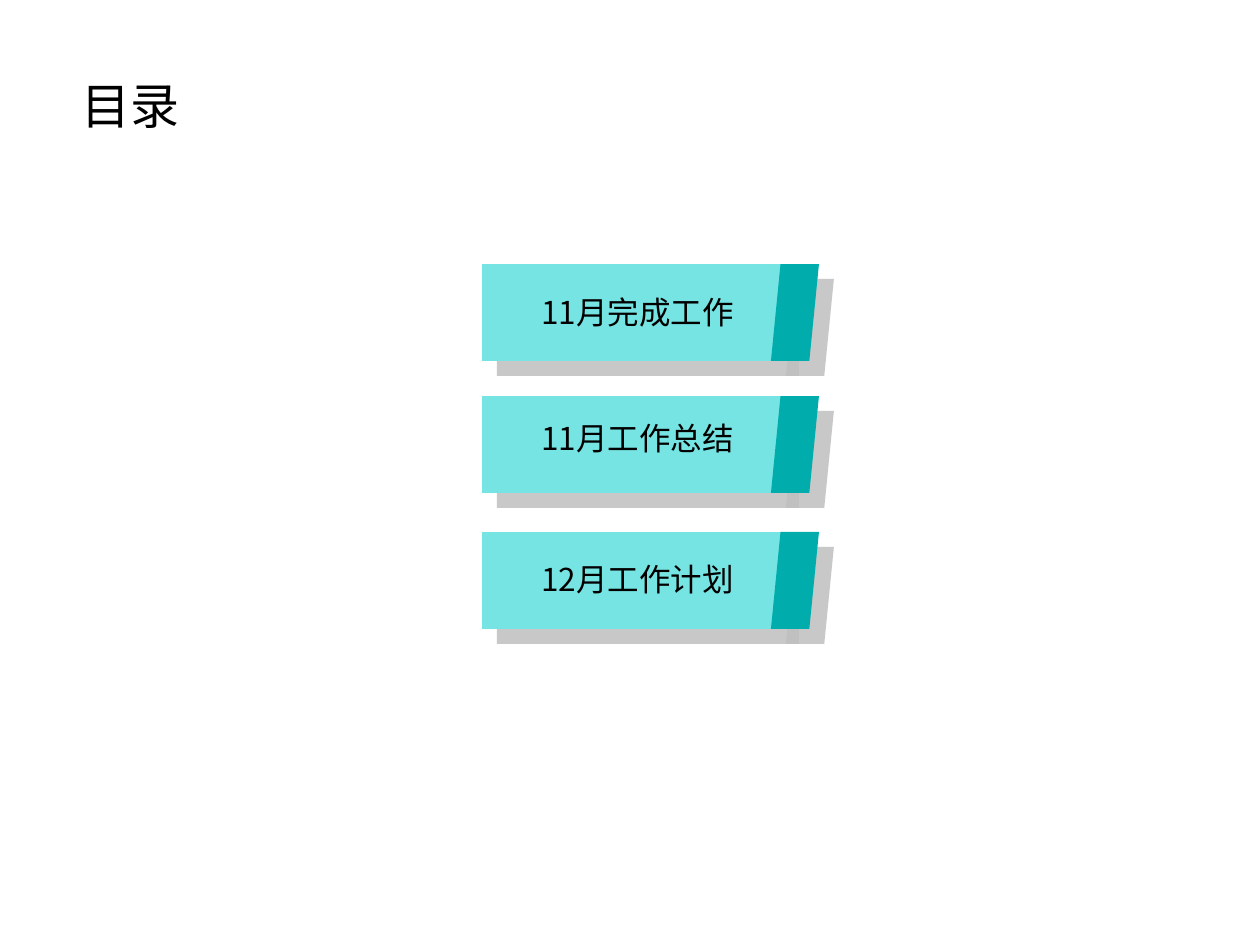
from lxml import etree
from pptx import Presentation
from pptx.dml.color import RGBColor
from pptx.enum.shapes import MSO_SHAPE
from pptx.enum.text import MSO_AUTO_SIZE
from pptx.oxml.ns import qn
from pptx.util import Pt

PANEL = MSO_SHAPE.FLOWCHART_PROCESS
FLAP = MSO_SHAPE.FLOWCHART_DATA
FIT = MSO_AUTO_SIZE.SHAPE_TO_FIT_TEXT
AQUA = RGBColor(0x76, 0xE4, 0xE3)
TEAL = RGBColor(0x00, 0xAD, 0xAC)
GREY = RGBColor(0xBF, 0xBF, 0xBF)
BLACK = RGBColor(0, 0, 0)
FONT = "Noto Sans CJK SC"
ITEMS = [
    ("11月完成工作", 264, 287),
    ("11月工作总结", 396, 413),
    ("12月工作计划", 532, 554),
]


def px(count):
    """Turn px into EMU at 126 px to the inch."""
    return round(count * 914400 / 126)


def add_shade(shape):
    """Cast a hard grey shadow down and to the right."""
    effects = etree.SubElement(shape._element.spPr, qn("a:effectLst"))
    shade = etree.SubElement(effects, qn("a:outerShdw"), blurRad="0",
                             dist=str(Pt(12.1)), dir="2700000",
                             algn="ctr", rotWithShape="0")
    tint = etree.SubElement(shade, qn("a:srgbClr"), val=str(GREY))
    etree.SubElement(tint, qn("a:alpha"), val="86000")


def add_block(group, kind, box, color):
    """Add a filled shape with a shadow and no outline."""
    shape = group.shapes.add_shape(kind, *map(px, box))
    shape.fill.solid()
    shape.fill.fore_color.rgb = color
    shape.line.fill.background()
    add_shade(shape)


def add_banner(slide, top):
    """Add a grouped panel with a slanted flap."""
    group = slide.shapes.add_group_shape()
    add_block(group, PANEL, (482, top, 302, 97), AQUA)
    add_block(group, FLAP, (771, top, 48, 97), TEAL)


def add_label(slide, text, box, size, wrap=False):
    """Add a one-line text box."""
    frame = slide.shapes.add_textbox(*map(px, box)).text_frame
    frame.text = text
    frame.word_wrap = wrap
    frame.auto_size = FIT
    run = frame.paragraphs[0].runs[0]
    run.font.size = Pt(size)
    run.font.name = FONT
    run.font.color.rgb = BLACK
    etree.SubElement(run.font._element, qn("a:ea"), typeface=FONT)


def main():
    """Build the contents slide."""
    deck = Presentation()
    deck.slide_width, deck.slide_height = px(1260), px(945)
    slide = deck.slides.add_slide(deck.slide_layouts[6])
    for _, top, _ in ITEMS:
        add_banner(slide, top)
    add_label(slide, "目录", (69, 69, 137, 72), 28, wrap=True)
    for text, _, top in ITEMS:
        add_label(slide, text, (529, top, 226, 50), 18)
    deck.save("out.pptx")


if __name__ == "__main__":
    main()
